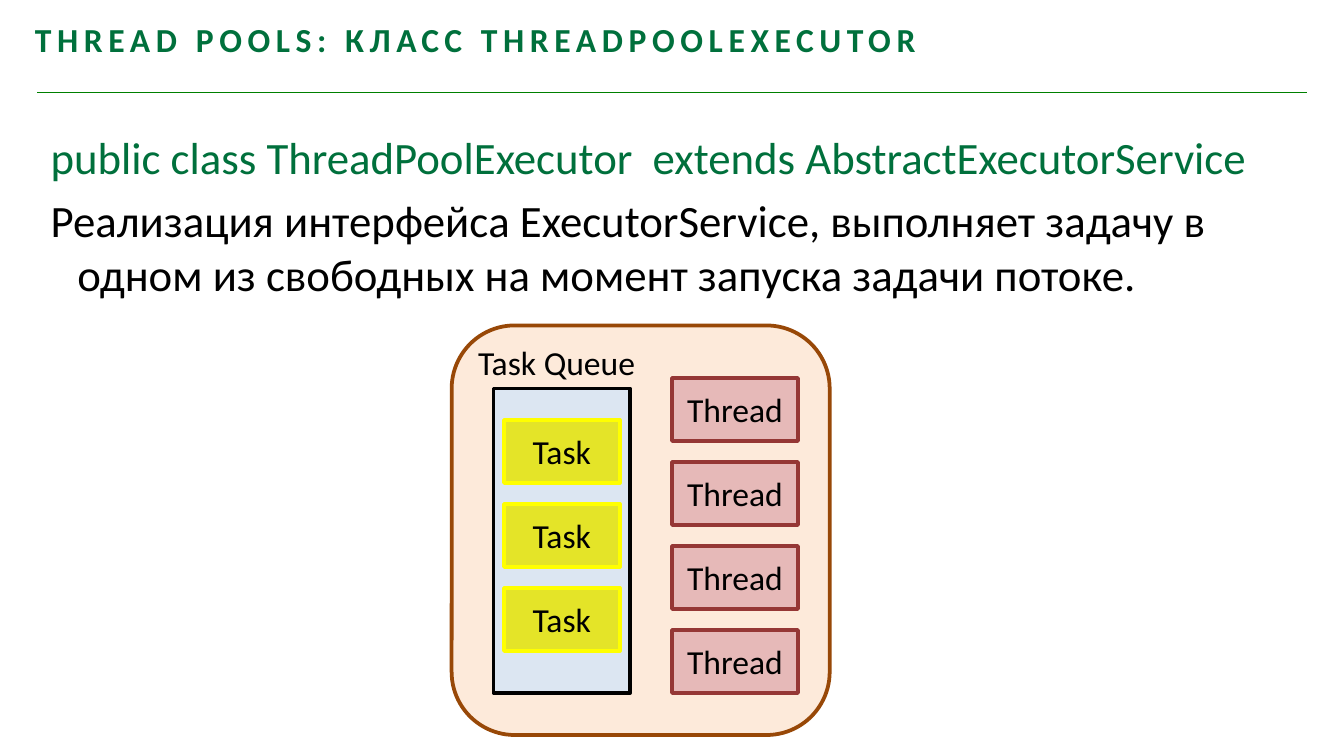
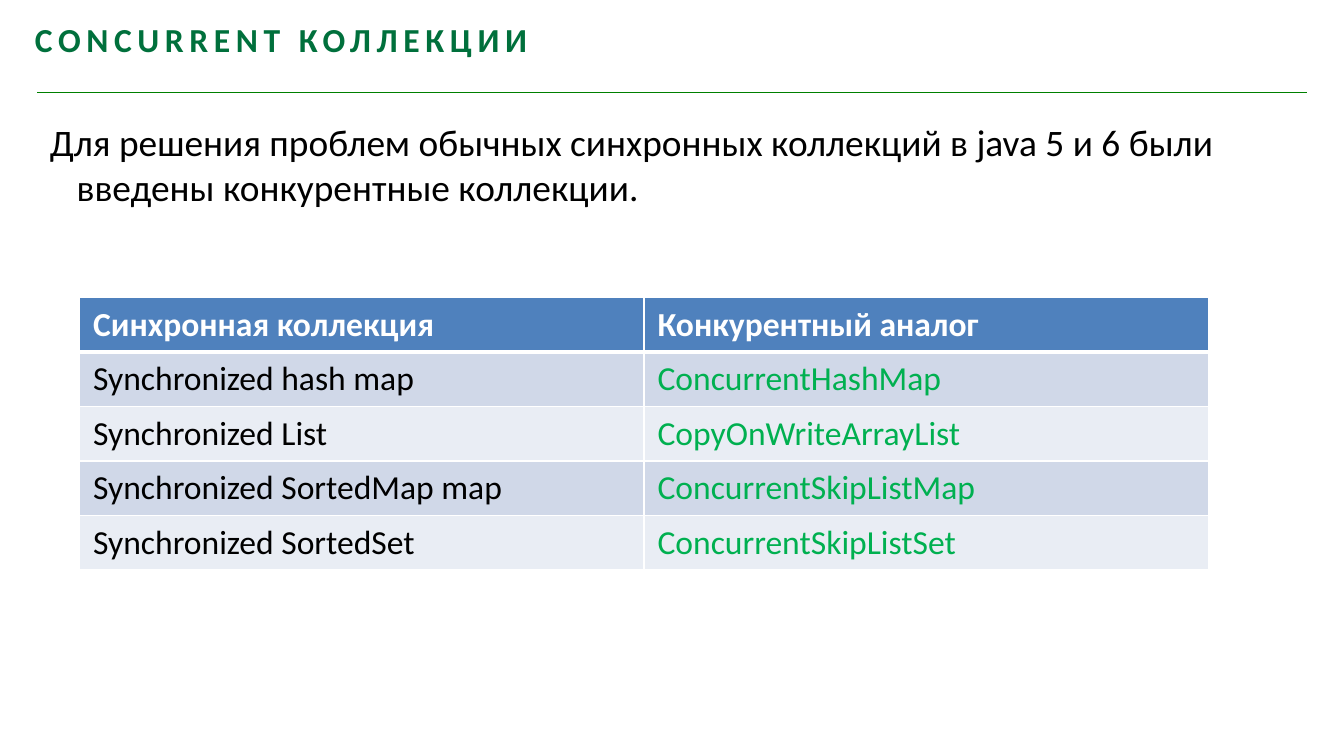
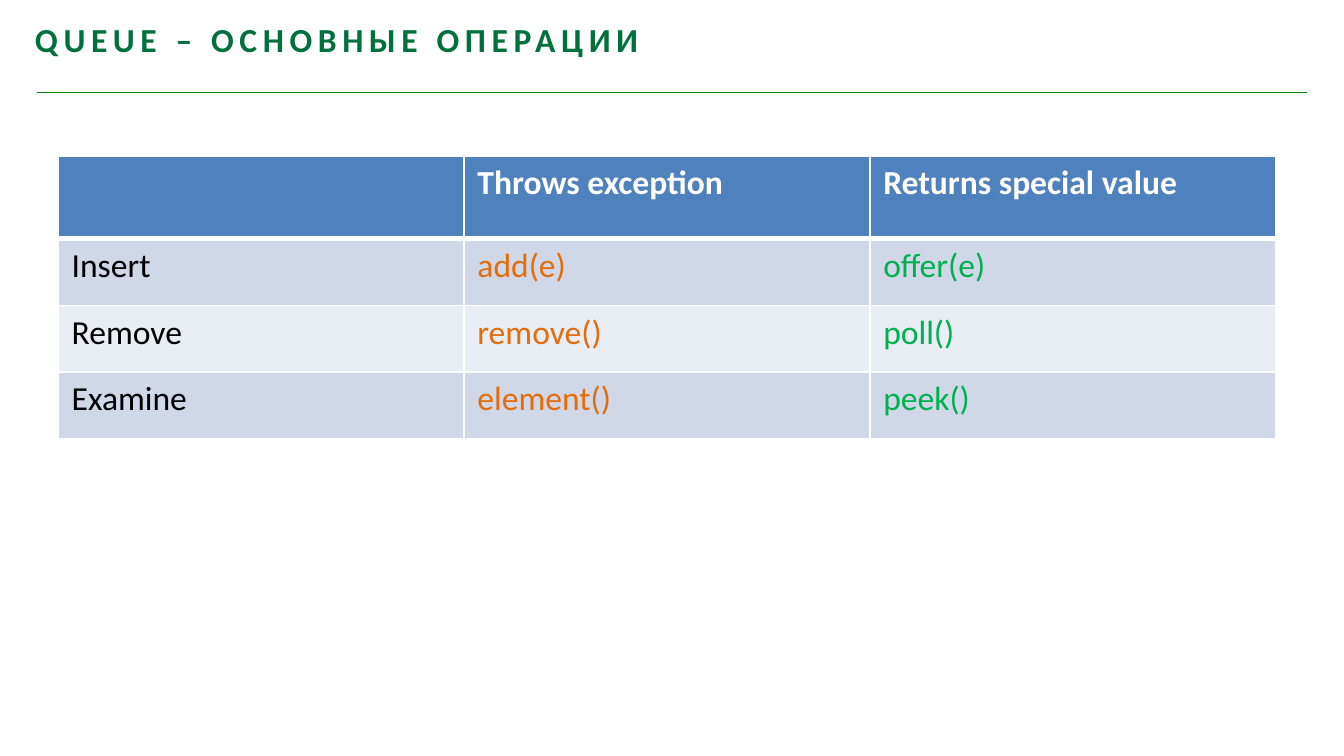
from lxml.etree import SubElement
from pptx import Presentation
from pptx.dml.color import RGBColor
from pptx.enum.shapes import MSO_CONNECTOR, MSO_SHAPE
from pptx.enum.text import MSO_ANCHOR, PP_ALIGN
from pptx.oxml.ns import qn
from pptx.util import Pt

FONT = "Calibri"
COLORS = {
    "title": "00703C", "rule": "008000", "text": "000000", "white": "FFFFFF",
    "pool": "FDEADA", "pool_edge": "984807", "queue": "DCE6F2",
    "task": "E4E428", "task_edge": "FFFF00",
    "thread": "E6B9B8", "thread_edge": "953735",
    "head": "4F81BD", "odd": "D0D8E8", "even": "E9EDF4",
    "green": "00B050", "orange": "E46C0A",
}


def rgb(name):
    return RGBColor.from_string(COLORS[name])


class Deck:
    def __init__(self):
        self.file = Presentation()
        self.file.slide_width = Pt(720)
        self.file.slide_height = Pt(405)
        self.slide = None

    def page(self, title):
        self.slide = self.file.slides.add_slide(self.file.slide_layouts[6])
        self.rule(20, 700, 49.5)
        frame = self.box(18.7, 6.5, 516, 25)
        frame.margin_left = frame.margin_bottom = 0
        frame.text = title
        self.style(frame.paragraphs[0], 18, "title", True)
        for run in frame.paragraphs[0].runs:
            run.font._element.set("spc", "300")

    def style(self, para, size, color, bold=False):
        for run in para.runs:
            font = run.font
            font.name = FONT
            font.size = Pt(size)
            font.bold = bold
            font.color.rgb = rgb(color)

    def rule(self, left, right, top):
        line = self.slide.shapes.add_connector(
            MSO_CONNECTOR.STRAIGHT, Pt(left), Pt(top), Pt(right), Pt(top))
        line.line.color.rgb = rgb("rule")
        line.line.width = Pt(0.75)
        SubElement(line._element.spPr, qn("a:effectLst"))

    def box(self, left, top, width, height, wrap=True):
        shape = self.slide.shapes.add_textbox(
            Pt(left), Pt(top), Pt(width), Pt(height))
        shape.text_frame.word_wrap = wrap
        return shape.text_frame

    def label(self, text, left, top, width, height):
        frame = self.box(left, top, width, height, False)
        frame.text = text
        self.style(frame.paragraphs[0], 18, "text")

    def body(self, left, top, width, height, size, lines):
        frame = self.box(left, top, width, height)
        frame.text = "\n".join(text for text, color in lines)
        for para, (text, color) in zip(frame.paragraphs, lines):
            para.space_before = Pt(size * 0.2)
            props = para._p.get_or_add_pPr()
            props.set("marL", str(Pt(14.4)))
            props.set("indent", str(Pt(-14.4)))
            self.style(para, size, color)

    def block(self, left, top, width, height, fill, edge, text="",
              kind=MSO_SHAPE.RECTANGLE):
        shape = self.slide.shapes.add_shape(
            kind, Pt(left), Pt(top), Pt(width), Pt(height))
        shape.shadow.inherit = False
        shape.fill.solid()
        shape.fill.fore_color.rgb = rgb(fill)
        shape.line.color.rgb = rgb(edge)
        shape.line.width = Pt(2)
        frame = shape.text_frame
        frame.vertical_anchor = MSO_ANCHOR.MIDDLE
        frame.text = text
        frame.paragraphs[0].alignment = PP_ALIGN.CENTER
        self.style(frame.paragraphs[0], 18, "text")

    def stack(self, count, left, top, width, kind, text):
        for i in range(count):
            self.block(left, top + 45 * i, width, 33.75,
                       kind, kind + "_edge", text)

    def border(self, cell, row):
        props = cell._tc.get_or_add_tcPr()
        widths = {"L": 1, "R": 1, "T": 3 if row == 1 else 1,
                  "B": 3 if row == 0 else 1}
        for side, width in widths.items():
            line = SubElement(props, qn("a:ln" + side), w=str(Pt(width)))
            fill = SubElement(line, qn("a:solidFill"))
            SubElement(fill, qn("a:srgbClr"), val=COLORS["white"])

    def table(self, left, top, width, heights, inks, rows):
        grid = self.slide.shapes.add_table(
            len(rows), len(inks), Pt(left), Pt(top),
            Pt(width), Pt(sum(heights))).table
        grid.horz_banding = False
        for col in grid.columns:
            col.width = Pt(width / len(inks))
        for r, texts in enumerate(rows):
            grid.rows[r].height = Pt(heights[r])
            back = "head" if r == 0 else "odd" if r % 2 else "even"
            for c, text in enumerate(texts):
                cell = grid.cell(r, c)
                self.border(cell, r)
                cell.fill.solid()
                cell.fill.fore_color.rgb = rgb(back)
                cell.text_frame.text = text
                ink = inks[c] if r else "white"
                self.style(cell.text_frame.paragraphs[0], 18, ink, r == 0)


def main():
    deck = Deck()

    deck.page("THREAD POOLS: КЛАСС THREADPOOLEXECUTOR")
    deck.body(20, 66.2, 680, 192, 24, [
        ("public class ThreadPoolExecutor  extends AbstractExecutorService",
         "title"),
        ("Реализация интерфейса ExecutorService, выполняет задачу в одном "
         "из свободных на момент запуска задачи потоке.", "text"),
    ])
    deck.block(242, 174.4, 202.5, 219.4, "pool", "pool_edge",
               kind=MSO_SHAPE.ROUNDED_RECTANGLE)
    deck.block(264.4, 208.1, 73.2, 163.2, "queue", "text")
    deck.stack(3, 270, 225, 62, "task", "Task")
    deck.stack(4, 360, 202.5, 67.5, "thread", "Thread")
    deck.label("Task Queue", 249, 179.4, 99.4, 29)

    deck.page("CONCURRENT КОЛЛЕКЦИИ")
    deck.body(19.6, 60.5, 680, 311, 20, [
        ("Для решения проблем обычных синхронных коллекций в java 5 и 6 "
         "были введены конкурентные коллекции.", "text"),
    ])
    deck.table(42.7, 159.4, 604.8, [29.2] * 5, ["text", "green"], [
        ["Синхронная коллекция", "Конкурентный аналог"],
        ["Synchronized hash map", "ConcurrentHashMap"],
        ["Synchronized List", "CopyOnWriteArrayList"],
        ["Synchronized SortedMap map", "ConcurrentSkipListMap"],
        ["Synchronized SortedSet", "ConcurrentSkipListSet"],
    ])

    deck.page("QUEUE – ОСНОВНЫЕ ОПЕРАЦИИ")
    deck.table(31.2, 83.6, 652.2, [44.4] + [35.7] * 3,
               ["text", "orange", "green"], [
        ["", "Throws exception", "Returns special value"],
        ["Insert", "add(e)", "offer(e)"],
        ["Remove", "remove()", "poll()"],
        ["Examine", "element()", "peek()"],
    ])

    deck.file.save("out.pptx")


if __name__ == "__main__":
    main()
